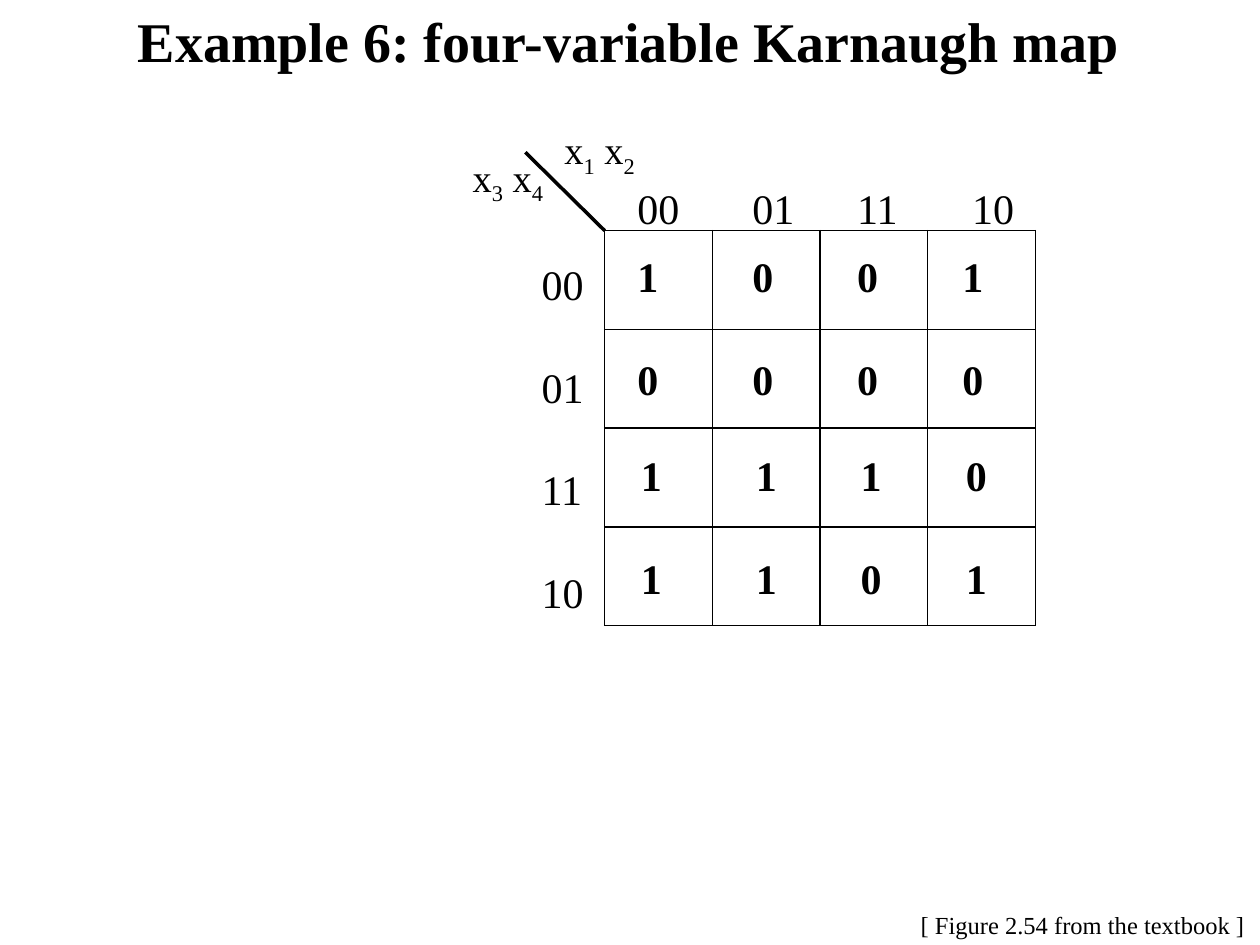
from lxml import etree
from pptx import Presentation
from pptx.dml.color import RGBColor
from pptx.enum.shapes import MSO_CONNECTOR
from pptx.enum.text import MSO_ANCHOR, MSO_AUTO_SIZE, PP_ALIGN
from pptx.oxml.ns import qn
from pptx.util import Cm, Pt

STRAIGHT = MSO_CONNECTOR.STRAIGHT
MIDDLE = MSO_ANCHOR.MIDDLE
LEFT, CENTER = PP_ALIGN.LEFT, PP_ALIGN.CENTER
NO_AUTOFIT = MSO_AUTO_SIZE.NONE

FONT = "Times New Roman"
BLACK = "000000"
GRAY_CODE = ["00", "01", "11", "10"]
MAP_VALUES = ["1001", "0000", "1110", "1101"]
HEADING_TABS = [2.32, 4.43, 6.75]
VALUE_TABS = [2.32, 4.43, 6.55]
ROW_GAP = 30


def color(hex_value):
    return RGBColor.from_string(hex_value)


def write_text(paragraph, text, size=24, bold=False, align=LEFT, baseline=0):
    """Append one run; baseline is a percentage, negative for a subscript."""
    paragraph.alignment = align
    run = paragraph.add_run()
    run.text = text
    run.font.name = FONT
    run.font.size = Pt(size)
    run.font.bold = bold
    run.font.color.rgb = color(BLACK)
    if baseline:
        run._r.get_or_add_rPr().set("baseline", str(baseline * 1000))


def add_box(slide, left, top, width, height, inset=0.25, wrap=True):
    """Add an empty text box and return its text frame."""
    box = slide.shapes.add_textbox(Cm(left), Cm(top), Cm(width), Cm(height))
    frame = box.text_frame
    frame.word_wrap = wrap
    frame.margin_left = frame.margin_right = Cm(inset)
    frame.margin_top = frame.margin_bottom = Cm(inset / 2)
    return frame


def set_tabs(paragraph, positions):
    tab_list = etree.SubElement(paragraph._p.get_or_add_pPr(), qn("a:tabLst"))
    for position in positions:
        etree.SubElement(tab_list, qn("a:tab"), pos=str(Cm(position)), algn="l")


def add_rows(slide, rows, left, top, width, height, tabs=(), bold=False):
    """Write each row as a paragraph, with its entries at the tab stops."""
    frame = add_box(slide, left, top, width, height)
    for index, entries in enumerate(rows):
        paragraph = frame.add_paragraph() if index else frame.paragraphs[0]
        if index:
            paragraph.space_before = Pt(ROW_GAP)
        if tabs:
            set_tabs(paragraph, tabs)
        write_text(paragraph, "\t".join(entries), bold=bold)


def add_title(slide, text, left, top, width, height):
    title = slide.shapes.title
    title.left, title.top = Cm(left), Cm(top)
    title.width, title.height = Cm(width), Cm(height)
    frame = title.text_frame
    frame.auto_size = NO_AUTOFIT
    frame.vertical_anchor = MIDDLE
    frame.margin_bottom = Cm(0.41)
    write_text(frame.paragraphs[0], text, size=32, bold=True, align=CENTER)


def set_borders(cell, width):
    properties = cell._tc.get_or_add_tcPr()
    for side in ("a:lnL", "a:lnR", "a:lnT", "a:lnB"):
        line = etree.SubElement(properties, qn(side), w=str(Pt(width)))
        fill = etree.SubElement(line, qn("a:solidFill"))
        etree.SubElement(fill, qn("a:srgbClr"), val=BLACK)


def add_grid(slide, left, top, width, height):
    count = len(GRAY_CODE)
    frame = slide.shapes.add_table(
        count, count, Cm(left), Cm(top), Cm(width), Cm(height))
    table = frame.table
    table.first_row = table.horz_banding = False
    for cell in table.iter_cells():
        set_borders(cell, 1)
        cell.fill.background()


def add_variables(slide, indices, left, top):
    frame = add_box(slide, left, top, 1.7, 0.94, inset=0, wrap=False)
    paragraph = frame.paragraphs[0]
    for name, index in zip(("x", " x"), indices):
        write_text(paragraph, name, size=22)
        write_text(paragraph, index, size=22, baseline=-25)


def add_diagonal(slide, left, top, right, bottom):
    line = slide.shapes.add_connector(
        STRAIGHT, Cm(left), Cm(top), Cm(right), Cm(bottom))
    line.line.color.rgb = color(BLACK)
    line.line.width = Pt(2)
    etree.SubElement(line._element.spPr, qn("a:effectLst"))


def add_karnaugh_map(slide, left, top, width, height):
    """Draw the grid in the given box, with its labels above and to the left."""
    add_grid(slide, left, top, width, height)
    add_diagonal(slide, left - 1.6, top - 1.58, left, top)
    add_variables(slide, "12", left - 0.81, top - 2.11)
    add_rows(slide, [GRAY_CODE], left + 0.41, top - 1.09, 8.26, 1.27,
             tabs=HEADING_TABS)
    add_rows(slide, [[code] for code in GRAY_CODE], left - 1.52, top + 0.43, 1.57, 7.44)
    for rows, shift, drop in ((MAP_VALUES[:2], 0.41, 0.28), (MAP_VALUES[2:], 0.48, 4.29)):
        add_rows(slide, rows, left + shift, top + drop, 7.52, 3.33,
                 tabs=VALUE_TABS, bold=True)
    add_variables(slide, "34", left - 2.66, top - 1.55)


def add_source_note(slide, text, left, top, width, height):
    frame = add_box(slide, left, top, width, height, wrap=False)
    write_text(frame.paragraphs[0], text, size=14)


def main():
    presentation = Presentation()
    presentation.slide_width, presentation.slide_height = Cm(25.4), Cm(19.05)
    slide = presentation.slides.add_slide(presentation.slide_layouts[5])
    add_title(slide, "Example 6: four-variable Karnaugh map", -0.02, 0, 25.4, 1.9)
    add_karnaugh_map(slide, 12.19, 4.65, 8.68, 7.96)
    add_source_note(slide, "[ Figure 2.54 from the textbook ]", 18.31, 18.22, 7.09, 0.86)
    presentation.save("out.pptx")


if __name__ == "__main__":
    main()
